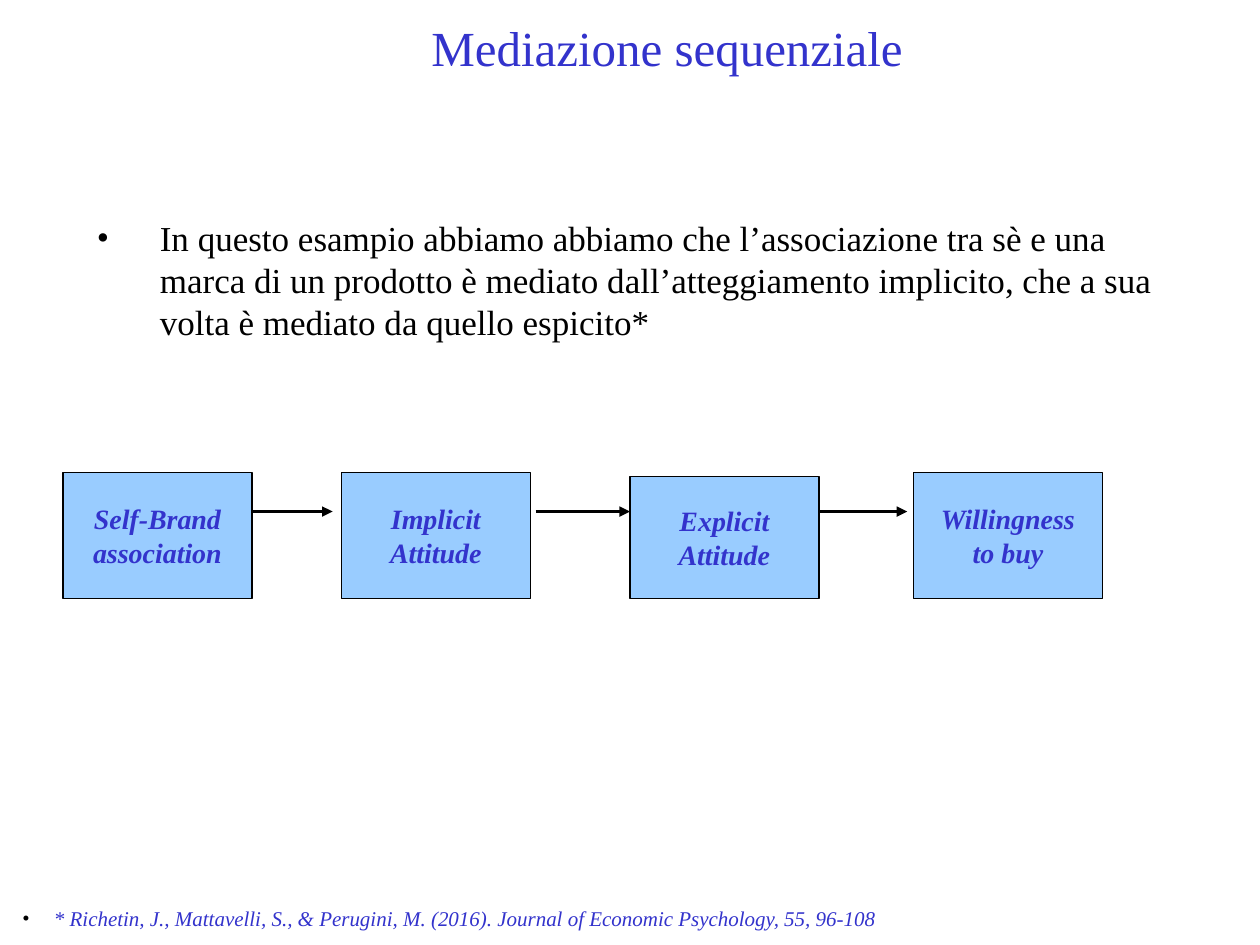
import pptx
import pptx.util
import pptx.dml.color
import pptx.enum.shapes
import pptx.enum.text
import pptx.oxml
import pptx.oxml.ns

Inches = pptx.util.Inches
Pt = pptx.util.Pt
PP_ALIGN = pptx.enum.text.PP_ALIGN
ANCHOR = pptx.enum.text.MSO_ANCHOR

THEME = {
    "font": "Times New Roman",
    "accent": "3333CC",
    "text": "000000",
    "box": "99CCFF",
    "title_size": 28,
    "body_size": 20,
    "box_size": 16,
    "note_size": 12,
}

TITLE = "Mediazione sequenziale"
EXPLANATION = (
    "In questo esampio abbiamo abbiamo che l’associazione tra sè e una marca di un "
    "prodotto è mediato dall’atteggiamento implicito, che a sua volta è mediato da "
    "quello espicito*"
)
CITATION = (
    "* Richetin, J., Mattavelli, S., & Perugini, M. (2016). "
    "Journal of Economic Psychology, 55, 96-108"
)
STAGES = [
    (["Self-Brand", "association"], 0.5, 3.75),
    (["Implicit", "Attitude"], 2.71, 3.75),
    (["Explicit", "Attitude"], 5, 3.78),
    (["Willingness", "to buy"], 7.25, 3.75),
]
STAGE_WIDTH, STAGE_BOTTOM = 1.5, 4.75
ARROW_STARTS = [1.89, 4.25, 6.45]
ARROW_LENGTH, ARROW_Y = 0.75, 4.06


def color(name):
    return pptx.dml.color.RGBColor.from_string(THEME[name])


def add_run(paragraph, text, size, ink, bold=False, italic=False):
    run = paragraph.add_run()
    run.text = text
    run.font.name = THEME["font"]
    run.font.size = Pt(THEME[size])
    run.font.color.rgb = color(ink)
    run.font.bold = bold
    run.font.italic = italic


def append_xml(parent, tag, attributes="", children=""):
    namespace = pptx.oxml.ns.nsdecls("a")
    parent.append(pptx.oxml.parse_xml(
        f"<a:{tag} {namespace} {attributes}>{children}</a:{tag}>"))


def add_bulleted(slide, area, text, size, ink, indent, anchor, italic=False):
    frame = slide.shapes.add_textbox(*map(Inches, area)).text_frame
    frame.word_wrap = True
    frame.vertical_anchor = anchor
    paragraph = frame.paragraphs[0]
    properties = paragraph._p.get_or_add_pPr()
    properties.set("marL", str(Inches(indent)))
    properties.set("indent", str(-Inches(indent)))
    append_xml(properties, "buClr", children=f'<a:srgbClr val="{THEME["text"]}"/>')
    append_xml(properties, "buFont", f'typeface="{THEME["font"]}"')
    append_xml(properties, "buChar", 'char="•"')
    add_run(paragraph, text, size, ink, italic=italic)


def add_arrow(slide, start):
    arrow = slide.shapes.add_connector(
        pptx.enum.shapes.MSO_CONNECTOR.STRAIGHT,
        Inches(start), Inches(ARROW_Y),
        Inches(start + ARROW_LENGTH), Inches(ARROW_Y))
    arrow.line.color.rgb = color("text")
    arrow.line.width = Pt(0)
    append_xml(arrow.line._get_or_add_ln(), "tailEnd", 'type="triangle"')
    append_xml(arrow._element.spPr, "effectLst")


def add_stage(slide, lines, left, top):
    stage = slide.shapes.add_shape(
        pptx.enum.shapes.MSO_SHAPE.RECTANGLE,
        Inches(left), Inches(top),
        Inches(STAGE_WIDTH), Inches(STAGE_BOTTOM - top))
    stage.shadow.inherit = False
    stage.fill.solid()
    stage.fill.fore_color.rgb = color("box")
    stage.line.color.rgb = color("text")
    stage.line.width = Pt(0)
    frame = stage.text_frame
    frame.word_wrap = False
    frame.vertical_anchor = ANCHOR.MIDDLE
    for index, line in enumerate(lines):
        paragraph = frame.add_paragraph() if index else frame.paragraphs[0]
        paragraph.alignment = PP_ALIGN.CENTER
        add_run(paragraph, line, "box_size", "accent", bold=True, italic=True)


def main():
    deck = pptx.Presentation()
    deck.slide_width, deck.slide_height = Inches(10), Inches(7.5)
    slide = deck.slides.add_slide(deck.slide_layouts[5])

    title = slide.shapes.title
    title.left, title.top = Inches(0.92), Inches(0)
    title.width, title.height = Inches(8.75), Inches(0.75)
    title.text_frame.vertical_anchor = ANCHOR.MIDDLE
    heading = title.text_frame.paragraphs[0]
    heading.alignment = PP_ALIGN.CENTER
    add_run(heading, TITLE, "title_size", "accent")

    add_bulleted(slide, (0.67, 1.67, 8.92, 1.1), EXPLANATION,
                 "body_size", "text", 0.5, ANCHOR.TOP)
    add_bulleted(slide, (0.08, 7.08, 8.92, 0.42), CITATION,
                 "note_size", "accent", 0.25, ANCHOR.MIDDLE, italic=True)
    for start in ARROW_STARTS:
        add_arrow(slide, start)
    for lines, left, top in STAGES:
        add_stage(slide, lines, left, top)

    deck.save("out.pptx")


if __name__ == "__main__":
    main()
